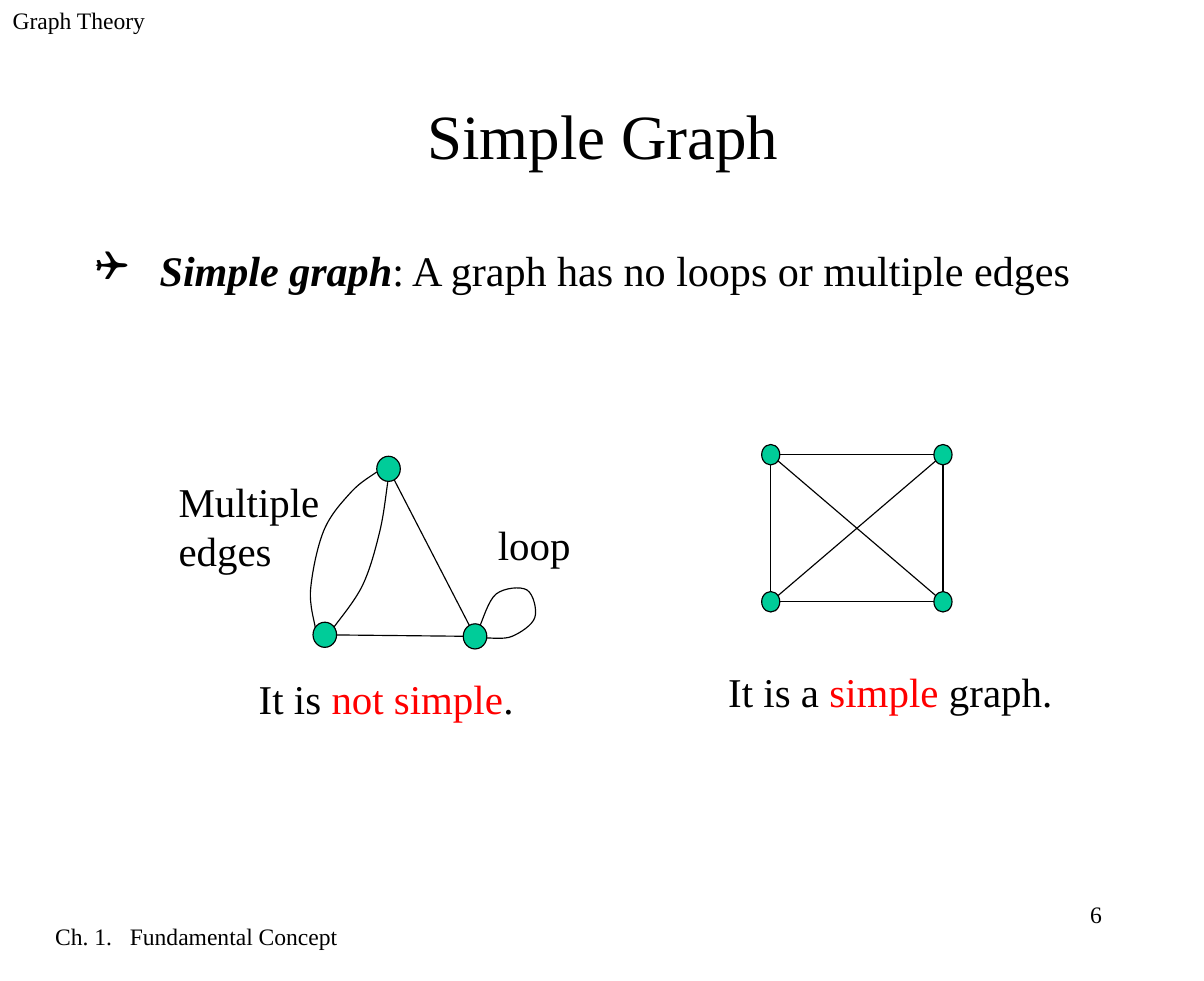
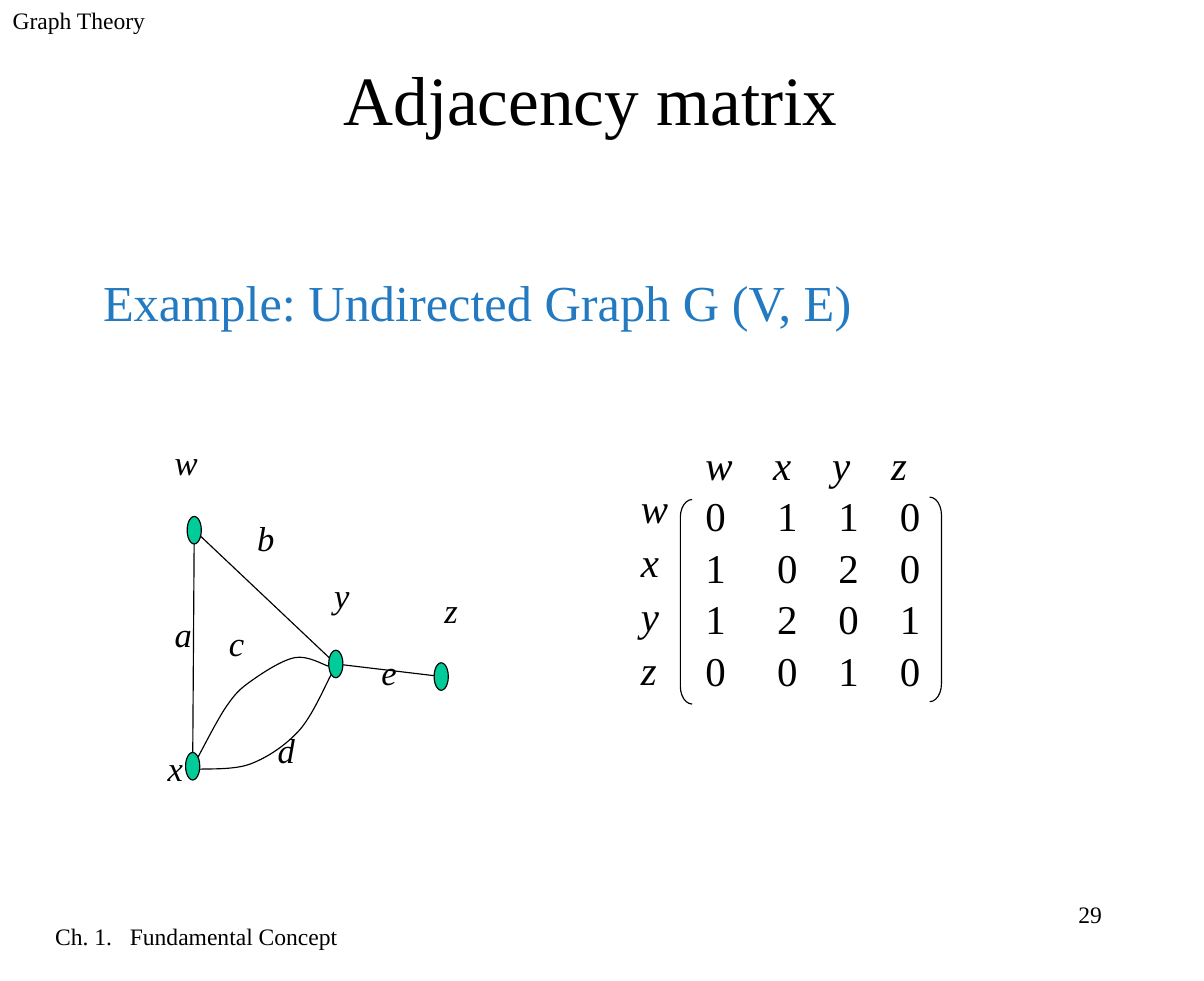
from itertools import combinations

from lxml.etree import SubElement
from pptx import Presentation
from pptx.dml.color import RGBColor
from pptx.enum.shapes import MSO_CONNECTOR, MSO_SHAPE
from pptx.enum.text import MSO_ANCHOR, MSO_AUTO_SIZE, PP_ALIGN
from pptx.oxml.ns import qn
from pptx.util import Pt

FONT = "Times New Roman"
BLACK, RED, BLUE, GREEN = "000000", "FF0000", "237AC1", "00CC99"
LABEL = 26


def paint(color_format, color):
    color_format.rgb = RGBColor.from_string(color)


def write(tf, *paras, size=LABEL, color=BLACK, italic=False, align=PP_ALIGN.LEFT,
          anchor=MSO_ANCHOR.TOP, wrap=True, spacing=None, gap=0, tabs=(), bullet=None, indent=None):
    """Each paragraph is a string or a list of runs; a run is a string or (string, font changes).

    Tab stops only hold in paragraphs that set no indent.
    """
    tf.word_wrap, tf.auto_size, tf.vertical_anchor = wrap, MSO_AUTO_SIZE.NONE, anchor
    tf.margin_left = tf.margin_right = Pt(8)
    tf.margin_top = tf.margin_bottom = Pt(4)
    for i, runs in enumerate(paras):
        p = tf.add_paragraph() if i else tf.paragraphs[0]
        pPr = p._p.get_or_add_pPr()
        if indent is not None:
            pPr.set("marL", str(Pt(indent)))
            pPr.set("indent", str(-Pt(indent)))
        if bullet:
            SubElement(pPr, qn("a:buFont"), typeface="Wingdings")
            SubElement(pPr, qn("a:buChar"), char=bullet)
        else:
            SubElement(pPr, qn("a:buNone"))
        if tabs:
            tab_list = SubElement(pPr, qn("a:tabLst"))
            for t in tabs:
                SubElement(tab_list, qn("a:tab"), pos=str(Pt(t)), algn="l")
        p.alignment = align
        p.space_before = Pt(gap if i else 0)
        if spacing:
            p.line_spacing = spacing
        for run in [runs] if isinstance(runs, str) else runs:
            words, changes = (run, {}) if isinstance(run, str) else run
            r = p.add_run()
            r.text = words
            r.font.name, r.font.size = FONT, Pt(size)
            r.font.bold = changes.get("bold", False)
            r.font.italic = changes.get("italic", italic)
            paint(r.font.color, changes.get("color", color))


def add_text(s, x, y, w, h, *paras, **fmt):
    write(s.shapes.add_textbox(Pt(x), Pt(y), Pt(w), Pt(h)).text_frame, *paras, **fmt)


def fill_placeholder(sp, box, *paras, **fmt):
    sp.left, sp.top, sp.width, sp.height = map(Pt, box)
    write(sp.text_frame, *paras, **fmt)


def outline(sp):
    paint(sp.line.color, BLACK)
    sp.line.width = Pt(0.75)


def add_edge(s, a, b):
    c = s.shapes.add_connector(MSO_CONNECTOR.STRAIGHT, *map(Pt, a + b))
    SubElement(c._element.spPr, qn("a:effectLst"))
    outline(c)


def add_outline_shape(s, kind, x, y, w, h, fill=None):
    sp = s.shapes.add_shape(kind, Pt(x), Pt(y), Pt(w), Pt(h))
    sp.shadow.inherit = False
    if fill:
        sp.fill.solid()
        paint(sp.fill.fore_color, fill)
    else:
        sp.fill.background()
    outline(sp)
    return sp


def round_corners(sp):
    """Turn the straight segments of a freeform into one smooth Bezier spline."""
    outline_xml = sp._element.find(".//" + qn("a:path"))
    nodes = [(int(pt.get("x")), int(pt.get("y"))) for pt in outline_xml.iter(qn("a:pt"))]
    for segment in outline_xml.findall(qn("a:lnTo")):
        outline_xml.remove(segment)
    ends = [nodes[0], *nodes, nodes[-1]]
    for p0, p1, p2, p3 in zip(ends, ends[1:], ends[2:], ends[3:]):
        control1 = [b + (c - a) / 6 for a, b, c in zip(p0, p1, p2)]
        control2 = [c - (d - b) / 6 for b, c, d in zip(p1, p2, p3)]
        bezier = SubElement(outline_xml, qn("a:cubicBezTo"))
        for px, py in (control1, control2, p2):
            SubElement(bezier, qn("a:pt"), x=str(round(px)), y=str(round(py)))


def add_curve(s, nodes):
    points = [(Pt(x), Pt(y)) for x, y in nodes]
    builder = s.shapes.build_freeform(*points[0])
    builder.add_line_segments(points[1:], close=False)
    sp = builder.convert_to_shape()
    round_corners(sp)
    sp.shadow.inherit = False
    sp.fill.background()
    outline(sp)


def add_graph(s, x, y, nodes, edges, node_size, curves=()):
    """Edges are pairs of node indexes; all points are relative to (x, y)."""
    def place(points):
        return [(x + px, y + py) for px, py in points]

    centres = place(nodes)
    for a, b in edges:
        add_edge(s, centres[a], centres[b])
    for curve in curves:
        add_curve(s, place(curve))
    w, h = node_size
    for cx, cy in centres:
        add_outline_shape(s, MSO_SHAPE.OVAL, cx - w / 2, cy - h / 2, w, h, GREEN)


def add_multigraph(s, x, y):
    nodes = [(50, 8), (9.5, 113.5), (105, 114.5)]
    outer = [(42.5, 10), (26.5, 22.5), (9, 47), (0.5, 84.5), (3.5, 109)]
    inner = [(49.5, 16.5), (44.5, 47.5), (33.5, 82), (15, 109)]
    loop = [(108, 108), (118.5, 87.5), (138, 85), (143, 102.5), (128.5, 114.5), (112, 115.5)]
    add_graph(s, x, y, nodes, [(0, 2), (1, 2)], (15, 16), [outer, inner, loop])
    add_text(s, x + 111.5, y + 36.5, 68, 39, "loop")
    add_text(s, x - 91.5, y + 9, 112, 70, "Multiple", "edges", wrap=False)
    add_text(s, x - 40.5, y + 134, 186, 39, ["It is ", ("not simple", {"color": RED}), "."])


def add_complete_graph(s, x, y):
    w, h = 109.5, 93.5
    nodes = [(0, 0), (w, 0), (0, h), (w, h)]
    add_graph(s, x, y, nodes, combinations(range(4), 2), (11.5, 13))
    add_text(s, x - 35, y + 131, 227, 39,
             ["It is a ", ("simple", {"color": RED}), " graph."])


def add_labelled_graph(s, x, y):
    nodes = [(5.5, 8.5), (4.5, 158.5), (95.5, 93.5), (162.5, 101.5)]
    upper = [(7.5, 153.5), (26, 120.5), (41.5, 104.5), (69.5, 89.5), (91, 95)]
    lower = [(7.5, 160.5), (41.5, 157), (72.5, 135.5), (93, 99.5)]
    add_graph(s, x, y, nodes, [(0, 1), (0, 2), (2, 3)], (9, 17.5), [upper, lower])
    labels = {"a": (-15, 57), "b": (37.5, -4), "c": (19.5, 62.5), "d": (50.5, 131),
              "e": (116.5, 81.5), "w": (-15, -52.5), "x": (-19.5, 142.5), "y": (86.5, 32),
              "z": (156.5, 41.5)}
    for name, (dx, dy) in labels.items():
        add_text(s, x + dx, y + dy, 40, 34.5, name, size=22, italic=True)


def add_matrix(s, x, y, names, rows):
    add_text(s, x + 41, y, 170, 40, "\t".join(names), italic=True, tabs=(43, 80.5, 118))
    add_text(s, x + 41, y + 32.5, 170, 140, *("\t".join(map(str, row)) for row in rows),
             gap=1.6, tabs=(45.5, 84.5, 123.5))
    add_text(s, x, y + 24, 35, 150, *names, italic=True, spacing=1.1)
    for kind, dx, dy in ((MSO_SHAPE.LEFT_BRACKET, 33, 42), (MSO_SHAPE.RIGHT_BRACKET, 191.5, 40.5)):
        add_outline_shape(s, kind, x + dx, y + dy, 7.5, 130).adjustments[0] = 1.5


def new_slide(prs, number, title, title_box, title_size):
    s = prs.slides.add_slide(prs.slide_layouts[1])
    fill_placeholder(s.shapes.title, title_box, title, size=title_size,
                     align=PP_ALIGN.CENTER, anchor=MSO_ANCHOR.MIDDLE)
    add_text(s, 0, 0, 160, 41.5, "Graph Theory", size=15)
    add_text(s, 27, 582, 223, 41.5, "Ch. 1.\tFundamental Concept", size=15, tabs=(47.5,))
    add_text(s, 548.5, 568, 160, 41.5, str(number), size=15, align=PP_ALIGN.RIGHT)
    return s


def build_simple_graph(prs):
    s = new_slide(prs, 6, "Simple Graph", (40, 42.5, 686.5, 85.5), 40)
    fill_placeholder(s.placeholders[1], (52.5, 146.5, 680, 85.5),
                     [("Simple graph", {"bold": True, "italic": True}),
                      ": A graph has no loops or multiple edges"],
                     size=26.8, spacing=1.15, bullet="❑", indent=41)
    add_multigraph(s, 197, 290)
    add_complete_graph(s, 490, 289)


def build_adjacency_matrix(prs):
    s = new_slide(prs, 29, "Adjacency matrix", (50, 21.5, 651, 81.5), 44)
    fill_placeholder(s.placeholders[1], (57.5, 159, 651, 395),
                     "Example: Undirected Graph G (V, E)",
                     size=32, color=BLUE, spacing=1.25, indent=0)
    add_labelled_graph(s, 118, 328.5)
    add_matrix(s, 399.5, 275.5, "wxyz",
               [(0, 1, 1, 0), (1, 0, 2, 0), (1, 2, 0, 1), (0, 0, 1, 0)])


def main():
    prs = Presentation()
    prs.slide_width, prs.slide_height = Pt(765.4), Pt(623.5)
    build_simple_graph(prs)
    build_adjacency_matrix(prs)
    prs.save("out.pptx")


if __name__ == "__main__":
    main()
